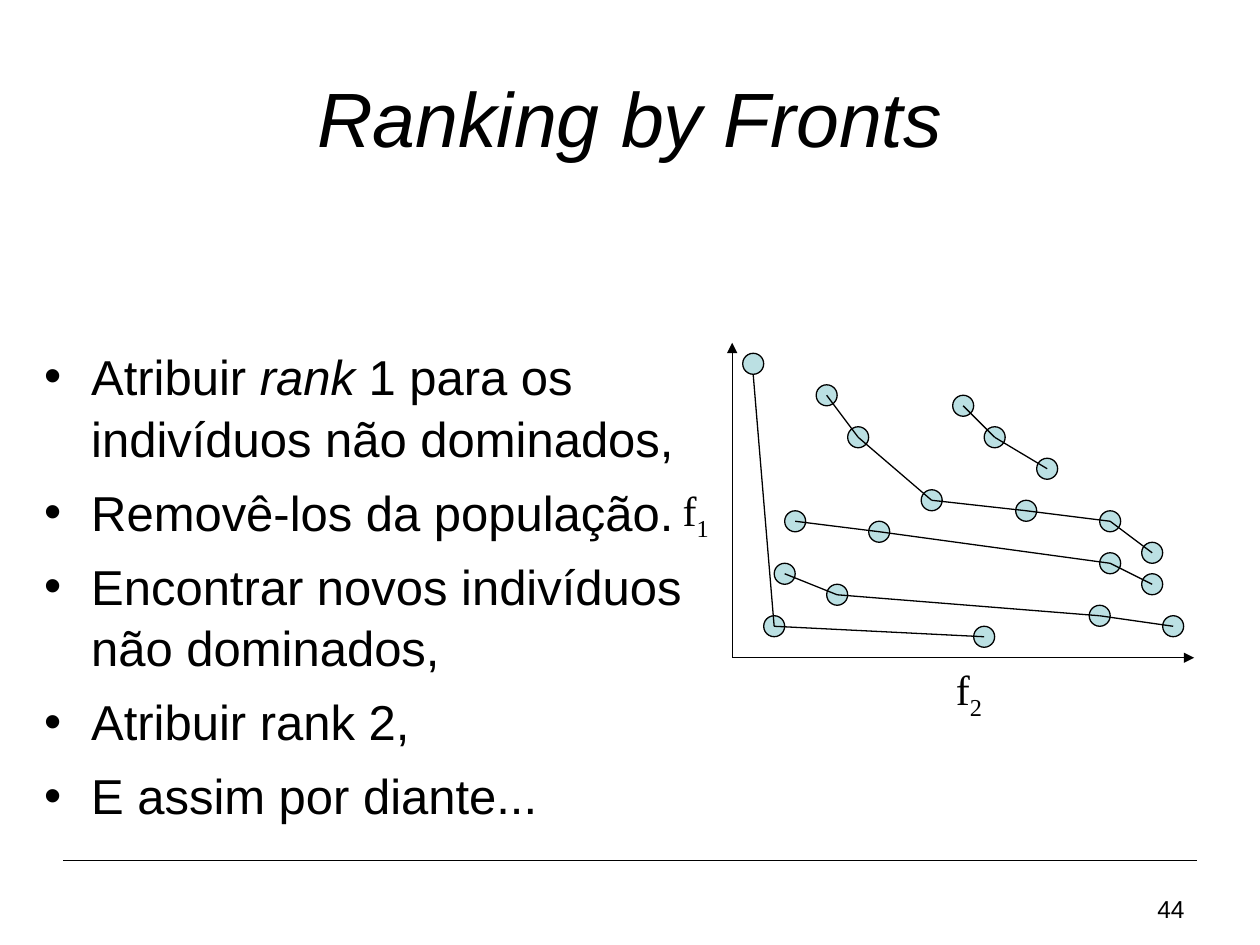
from itertools import pairwise

from lxml.etree import SubElement
from pptx import Presentation
from pptx.dml.color import RGBColor
from pptx.enum.shapes import MSO_CONNECTOR, MSO_SHAPE
from pptx.enum.text import MSO_ANCHOR, PP_ALIGN
from pptx.oxml.ns import qn
from pptx.util import Cm, Pt

COLORS = {"ink": "000000", "point": "BBE0E3"}
ORIGIN_X, ORIGIN_Y = 14.76, 13.26
GRID = 2.54 / 12
AXIS_X, AXIS_Y = 44, 30
FRONTS = [
    [(2, 28), (4, 3), (24, 2)],
    [(5, 8), (10, 6), (35, 4), (42, 3)],
    [(6, 13), (14, 12), (36, 9), (40, 7)],
    [(9, 25), (12, 21), (19, 15), (28, 14), (36, 13), (40, 10)],
    [(22, 24), (25, 21), (30, 18)],
]
STEPS = [
    [("Atribuir ", {}), ("rank", {"italic": True}),
     (" 1 para os indivíduos não dominados,", {})],
    [("Removê-los da população.", {})],
    [("Encontrar novos indivíduos não dominados,", {})],
    [("Atribuir rank 2,", {})],
    [("E assim por diante...", {})],
]


def color(name):
    """Return the named colour."""
    return RGBColor.from_string(COLORS[name])


def chart_position(point):
    """Turn grid units counted from the origin into slide lengths."""
    return Cm(ORIGIN_X + point[0] * GRID), Cm(ORIGIN_Y - point[1] * GRID)


def add_bullet(paragraph):
    """Give a paragraph a hanging round bullet."""
    properties = paragraph._p.get_or_add_pPr()
    properties.set("marL", str(Cm(0.95)))
    properties.set("indent", str(-Cm(0.95)))
    SubElement(properties, qn("a:buFont"), typeface="Arial")
    SubElement(properties, qn("a:buChar"), char="•")


def add_text(slide, box, paragraphs, size, font="Arial", align=PP_ALIGN.LEFT,
             anchor=MSO_ANCHOR.TOP, wrap=True, bullets=False, line_spacing=None,
             space_before=0, bottom=0.13):
    """Add a text box whose paragraphs are lists of (text, format) runs."""
    frame = slide.shapes.add_textbox(*map(Cm, box)).text_frame
    frame.word_wrap = wrap
    frame.vertical_anchor = anchor
    frame.margin_bottom = Cm(bottom)
    for index, runs in enumerate(paragraphs):
        paragraph = frame.add_paragraph() if index else frame.paragraphs[0]
        paragraph.alignment = align
        paragraph.line_spacing = line_spacing
        if index:
            paragraph.space_before = Pt(space_before)
        if bullets:
            add_bullet(paragraph)
        for text, run_format in runs:
            run = paragraph.add_run()
            run.text = text
            run.font.name = font
            run.font.size = Pt(size)
            run.font.color.rgb = color("ink")
            run.font.italic = run_format.get("italic", False)
            if "baseline" in run_format:
                run.font._element.set("baseline", run_format["baseline"])


def add_line(slide, start, end, arrow=False):
    """Draw a thin straight line, optionally with an arrow at its end."""
    line = slide.shapes.add_connector(MSO_CONNECTOR.STRAIGHT, *start, *end)
    line.line.color.rgb = color("ink")
    line.line.width = Pt(0.75)
    if arrow:
        SubElement(line.line._get_or_add_ln(), qn("a:tailEnd"), type="triangle")
    SubElement(line._element.spPr, qn("a:effectLst"))


def add_point(slide, point):
    """Draw one individual as a circle two grid units wide."""
    left, top = chart_position((point[0] - 1, point[1] + 1))
    diameter = Cm(2 * GRID)
    circle = slide.shapes.add_shape(MSO_SHAPE.OVAL, left, top, diameter, diameter)
    circle.shadow.inherit = False
    circle.fill.solid()
    circle.fill.fore_color.rgb = color("point")
    circle.line.color.rgb = color("ink")
    circle.line.width = Pt(0.75)


def add_axis_label(slide, left, top, number):
    """Add an objective name with its subscript."""
    runs = [("f", {}), (number, {"baseline": "-25000"})]
    add_text(slide, (left, top, 1.04, 1.42), [runs], 24,
             font="Times New Roman", wrap=False)


def add_front_chart(slide):
    """Draw the individuals, the axes and the lines joining each front."""
    for front in FRONTS:
        for point in front:
            add_point(slide, point)
    for axis_end in [(0, AXIS_Y), (AXIS_X, 0)]:
        add_line(slide, chart_position((0, 0)), chart_position(axis_end), arrow=True)
    first_x, first_y = FRONTS[0][0]
    below_first = (first_x, first_y - 1)
    for front in [[below_first, *FRONTS[0][1:]], *FRONTS[1:]]:
        for start, end in pairwise(front):
            add_line(slide, chart_position(start), chart_position(end))
    add_axis_label(slide, 13.51, 9.65, "1")
    add_axis_label(slide, 19.02, 13.26, "2")


def main():
    """Build the slide and save it."""
    presentation = Presentation()
    presentation.slide_width, presentation.slide_height = Cm(25.4), Cm(19.05)
    slide = presentation.slides.add_slide(presentation.slide_layouts[6])
    add_line(slide, (Cm(1.27), Cm(17.35)), (Cm(24.13), Cm(17.35)))
    add_text(slide, (22.66, 17.35, 1.47, 1.32), [[("44", {})]], 14,
             align=PP_ALIGN.RIGHT, anchor=MSO_ANCHOR.BOTTOM, bottom=0.05)
    add_text(slide, (1.27, 0.76, 22.86, 3.18),
             [[("Ranking by Fronts", {"italic": True})]], 44,
             align=PP_ALIGN.CENTER, anchor=MSO_ANCHOR.MIDDLE)
    add_text(slide, (0.64, 6.8, 13.54, 9.93), STEPS, 28, bullets=True,
             line_spacing=1.05, space_before=7)
    add_front_chart(slide)
    presentation.save("out.pptx")


if __name__ == "__main__":
    main()
